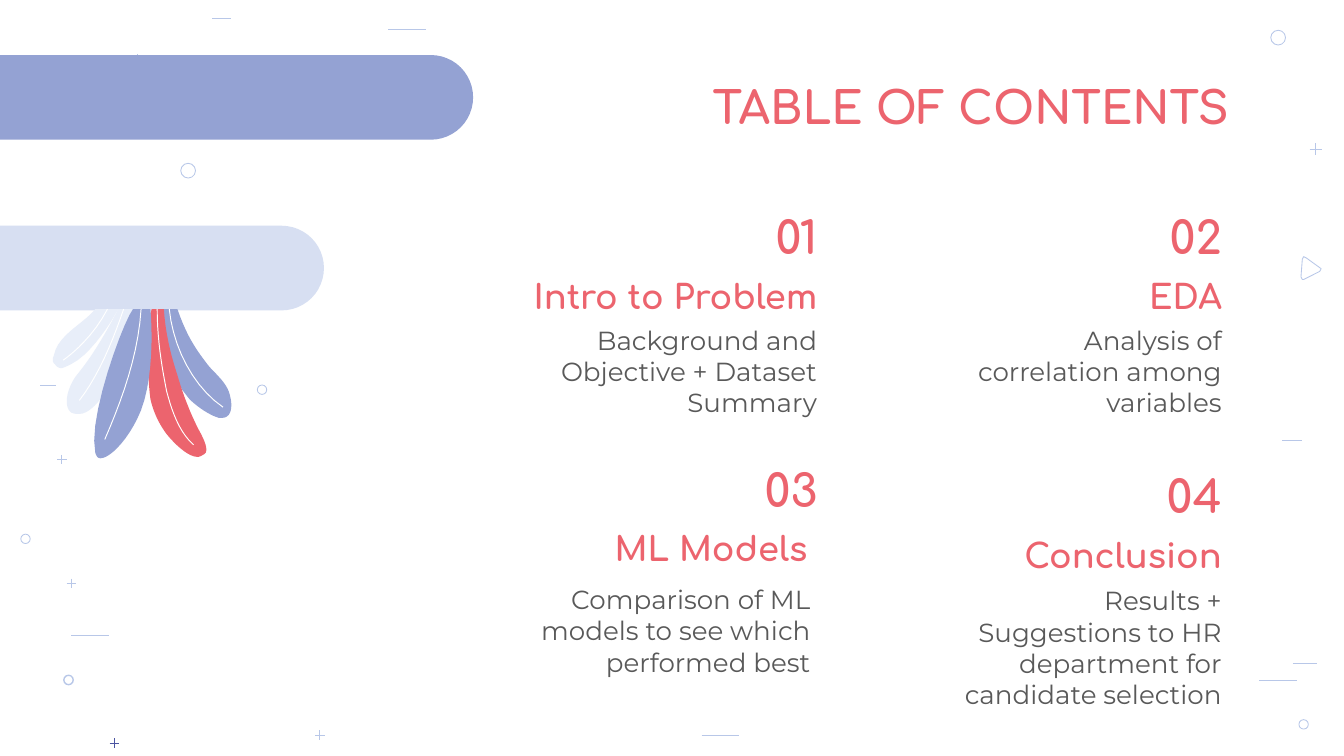
from dataclasses import dataclass

from lxml import etree
from pptx import Presentation
from pptx import util as u
from pptx.dml.color import RGBColor
from pptx.enum import shapes, text
from pptx.oxml.ns import qn


@dataclass(frozen=True)
class Theme:
    """Colours, fonts and sizes of the slide."""
    coral: str = "EC646E"
    body: str = "595959"
    blue: str = "94A2D3"
    pale: str = "D7DFF2"
    mist: str = "E8EEF9"
    white: str = "FFFFFF"
    faint: str = "B8C7E8"
    deep: str = "4B54A1"
    head: str = "Comfortaa"
    plain: str = "Montserrat"
    large: int = 24
    mid: int = 18
    small: int = 14
    hair: float = 0.45
    thin: float = 0.33
    firm: float = 0.75
    vein: float = 0.52


T = Theme()

CIRCLES = [
    (9.51, 0.28, 0.11, T.hair), (1.4, 1.27, 0.11, T.hair),
    (1.95, 2.9, 0.07, T.hair), (0.19, 4.01, 0.07, T.hair),
    (9.7, 5.39, 0.07, T.hair), (0.51, 5.06, 0.07, T.firm),
]
DASHES = [
    (2.89, 0.22, 0.28, T.hair), (1.58, 0.14, 0.14, T.hair),
    (9.37, 5.06, 0.28, T.hair), (9.62, 4.94, 0.18, T.hair),
    (5.22, 5.47, 0.28, T.hair), (9.54, 3.28, 0.15, T.hair),
    (0.3, 2.87, 0.12, T.hair), (0.53, 4.73, 0.28, T.firm),
]
CROSSES = [
    (9.79, 1.11, 0.09, T.faint, T.hair), (0.46, 3.42, 0.07, T.faint, T.hair),
    (2.38, 5.47, 0.07, T.faint, T.hair), (0.85, 5.53, 0.07, T.deep, T.thin),
    (0.53, 4.34, 0.07, T.faint, T.firm),
]
ARROW = [(0.15, 0.09), (0.04, 0.01), (0.02, 0), (0.01, 0.02),
         (0, 0.15), (0.01, 0.17), (0.02, 0.17), (0.14, 0.11)]
PLANT = [
    (T.mist, [(0.32, 0), (0.22, 0.12), (0.04, 0.19), (0.01, 0.35),
              (0, 0.37), (0, 0.4), (0.02, 0.41), (0.03, 0.43), (0.05, 0.44), (0.07, 0.44),
              (0.1, 0.43), (0.12, 0.42), (0.14, 0.41), (0.3, 0.33), (0.46, 0.06), (0.49, 0)]),
    (T.mist, [(0.49, 0), (0.49, 0), (0.34, 0.3), (0.19, 0.48),
              (0.12, 0.56), (0.07, 0.72), (0.14, 0.77), (0.16, 0.78), (0.18, 0.78), (0.2, 0.78),
              (0.28, 0.78), (0.36, 0.67), (0.4, 0.61), (0.47, 0.49), (0.53, 0.37), (0.57, 0.24),
              (0.58, 0.22), (0.63, 0), (0.63, 0)]),
    (None, [(0.2, 0.68), (0.34, 0.5), (0.45, 0.24), (0.53, 0)]),
    (T.blue, [(0.8, 0), (0.8, 0), (0.82, 0.46), (1.02, 0.67),
              (1.08, 0.73), (1.17, 0.79), (1.24, 0.81), (1.25, 0.81), (1.26, 0.81), (1.26, 0.81),
              (1.34, 0.81), (1.34, 0.71), (1.32, 0.64), (1.3, 0.55), (1.22, 0.49), (1.16, 0.42),
              (1.06, 0.29), (1, 0.2), (0.93, 0)]),
    (T.coral, [(0.74, 0), (0.69, 0.1), (0.71, 0.53), (0.73, 0.67),
               (0.75, 0.76), (0.79, 0.85), (0.85, 0.93), (0.89, 0.98), (1, 1.1), (1.08, 1.1),
               (1.1, 1.1), (1.11, 1.09), (1.13, 1.08), (1.18, 1.05), (1.1, 0.92), (1.08, 0.88),
               (1.02, 0.76), (0.97, 0.63), (0.93, 0.49), (0.88, 0.34), (0.84, 0.17), (0.83, 0)]),
    (T.blue, [(0.6, 0), (0.53, 0.09), (0.26, 0.81), (0.32, 1.07),
              (0.33, 1.1), (0.34, 1.11), (0.36, 1.11), (0.42, 1.11), (0.54, 1), (0.63, 0.82),
              (0.74, 0.61), (0.75, 0.24), (0.73, 0)]),
    (None, [(1.27, 0.73), (1.05, 0.58), (0.9, 0.29), (0.87, 0)]),
    (None, [(1.05, 1.01), (0.94, 0.91), (0.89, 0.76), (0.85, 0.61),
            (0.81, 0.41), (0.78, 0.21), (0.78, 0)]),
    (None, [(0.39, 0.97), (0.52, 0.67), (0.64, 0.34), (0.66, 0)]),
    (None, [(0.08, 0.38), (0.08, 0.38), (0.28, 0.25), (0.41, 0)]),
]
ITEMS = [
    (3.44, 1.48, "01", "Intro to Problem", "Background and Objective + Dataset Summary", 0.44, 0.83),
    (6.45, 1.48, "02", "EDA", "Analysis of correlation among variables", 0.44, 0.83),
    (3.44, 3.36, "03", "ML Models ", "Comparison of ML models to see which performed best", 0.39, 0.88),
    (6.45, 3.41, "04", "Conclusion",
     "Results + Suggestions to HR department for candidate selection", 0.44, 0.84),
]


def paint(shape, fill=None, line=None, width=T.hair):
    """Set the fill and outline of a shape and drop its shadow."""
    shape.shadow.inherit = False
    if fill:
        shape.fill.solid()
        shape.fill.fore_color.rgb = RGBColor.from_string(fill)
    else:
        shape.fill.background()
    if line:
        shape.line.color.rgb = RGBColor.from_string(line)
        shape.line.width = u.Pt(width)
    else:
        shape.line.fill.background()


def stroke(slide, x1, y1, x2, y2, color, width):
    """Draw a straight line."""
    line = slide.shapes.add_connector(
        shapes.MSO_CONNECTOR.STRAIGHT, *map(u.Inches, (x1, y1, x2, y2)))
    line.line.color.rgb = RGBColor.from_string(color)
    line.line.width = u.Pt(width)
    etree.SubElement(line._element.spPr, qn("a:effectLst"))


def trace(slide, left, top, points, close):
    """Draw a freeform through points given relative to a corner."""
    spots = [(u.Inches(left + x), u.Inches(top + y)) for x, y in points]
    pen = slide.shapes.build_freeform(*spots[0])
    pen.add_line_segments(spots[1:], close=close)
    return pen.convert_to_shape()


def bend(points, steps=10):
    """Return points along a chain of cubic curves."""
    out = [points[0]]
    for i in range(0, len(points) - 1, 3):
        for n in range(1, steps + 1):
            t = n / steps
            mix = ((1 - t) ** 3, 3 * t * (1 - t) ** 2, 3 * t * t * (1 - t), t ** 3)
            out.append(tuple(sum(m * p[axis] for m, p in zip(mix, points[i:i + 4]))
                             for axis in (0, 1)))
    return out


def label(slide, box, words, size, font, color, bold=True, low=False):
    """Place a right-aligned text box."""
    frame = slide.shapes.add_textbox(*map(u.Inches, box)).text_frame
    frame.word_wrap = True
    frame.margin_left = frame.margin_right = u.Inches(0.1)
    frame.margin_top = frame.margin_bottom = u.Inches(0.1)
    frame.vertical_anchor = text.MSO_ANCHOR.BOTTOM if low else text.MSO_ANCHOR.TOP
    frame.text = words
    line = frame.paragraphs[0]
    line.alignment = text.PP_ALIGN.RIGHT
    face = line.runs[0].font
    face.name, face.size, face.bold = font, u.Pt(size), bold
    face.color.rgb = RGBColor.from_string(color)


def decor(slide, left, top):
    """Scatter the small outline marks over the slide."""
    for x, y, size, width in CIRCLES:
        ring = slide.shapes.add_shape(shapes.MSO_SHAPE.OVAL, *map(
            u.Inches, (left + x - size / 2, top + y - size / 2, size, size)))
        paint(ring, line=T.faint, width=width)
    for x, y, size, width in DASHES:
        stroke(slide, left + x, top + y, left + x + size, top + y, T.faint, width)
    for x, y, size, color, width in CROSSES:
        x, y, half = left + x, top + y, size / 2
        stroke(slide, x, y - half, x, y + half, color, width)
        stroke(slide, x - half, y, x + half, y, color, width)
    stroke(slide, left + 1.02, top + 0.4, left + 1.02, top + 0.49, T.faint, T.hair)
    paint(trace(slide, left + 9.68, top + 1.91, ARROW, True), line=T.faint)


def bar(slide, box, color):
    """Draw a bar with fully rounded ends."""
    shape = slide.shapes.add_shape(shapes.MSO_SHAPE.ROUNDED_RECTANGLE, *map(u.Inches, box))
    shape.adjustments[0] = 0.5
    paint(shape, color)


def plant(slide, left, top):
    """Draw the hanging leaves and their veins."""
    for fill, points in PLANT:
        leaf = trace(slide, left, top, bend(points), bool(fill))
        paint(leaf, fill, None if fill else T.white, T.vein)


def entry(slide, left, top, num, name, note, shift, drop):
    """Place one numbered entry of the contents."""
    label(slide, (left + shift, top + drop, 2.3, 0.75), note, T.small, T.plain, T.body, False)
    label(slide, (left, top + 0.48, 2.74, 0.49), name, T.mid, T.head, T.coral, low=True)
    label(slide, (left + 1.58, top, 1.16, 0.58), num, T.large, T.head, T.coral, low=True)


def main():
    """Build and save the slide."""
    deck = Presentation()
    deck.slide_width = u.Inches(10)
    deck.slide_height = deck.slide_width * 9 // 16
    slide = deck.slides.add_slide(deck.slide_layouts[6])
    decor(slide, 0, 0)
    bar(slide, (-0.3, 0.41, 3.82, 0.63), T.blue)
    bar(slide, (-0.51, 1.68, 2.92, 0.63), T.pale)
    label(slide, (0.72, 0.49, 8.52, 0.63), "TABLE OF CONTENTS", T.large, T.head, T.coral)
    for item in ITEMS:
        entry(slide, *item)
    plant(slide, 0.39, 2.3)
    deck.save("out.pptx")


if __name__ == "__main__":
    main()
